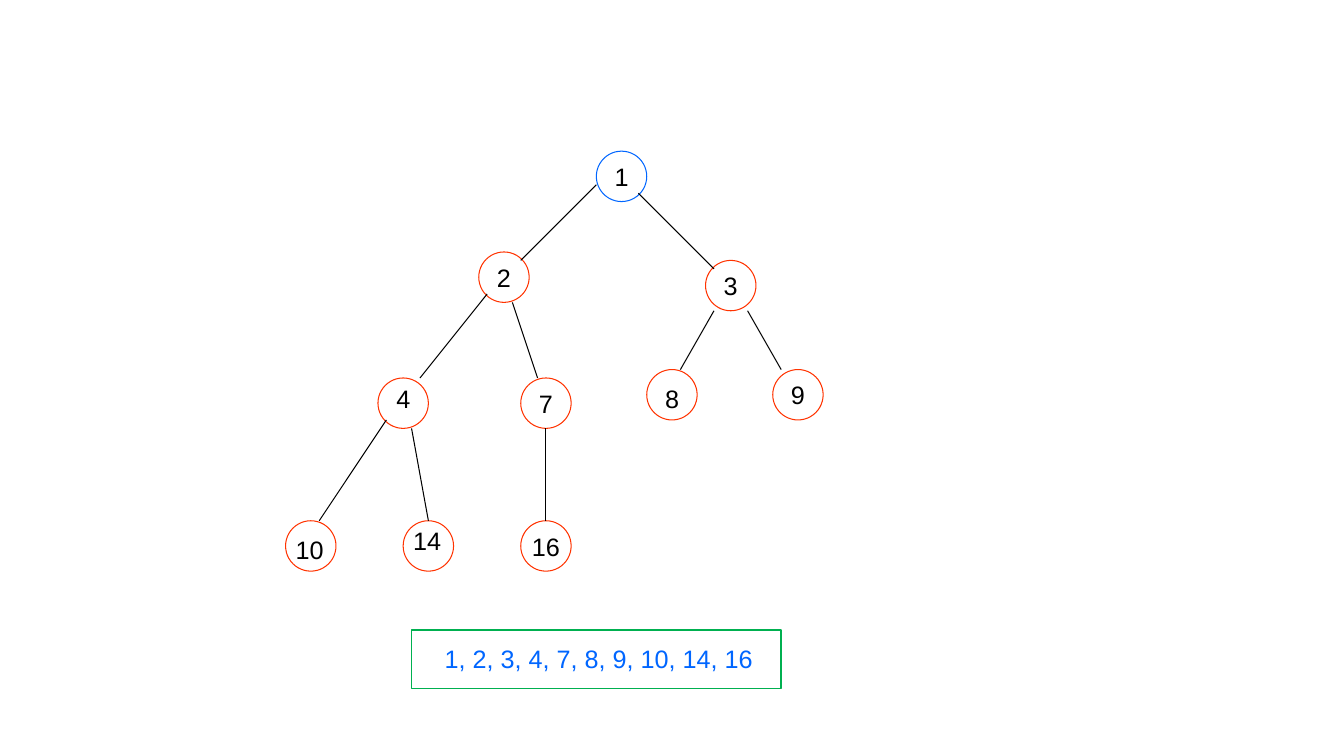
"""Build a slide showing a binary min-heap and its keys in sorted order."""
import pptx
import pptx.dml.color
import pptx.enum.shapes
import pptx.enum.text
import pptx.oxml.ns
import pptx.util
from lxml import etree

Pt = pptx.util.Pt
SHAPES = pptx.enum.shapes.MSO_SHAPE
ALIGN = pptx.enum.text.PP_ALIGN
ANCHOR = pptx.enum.text.MSO_ANCHOR
BLACK, BLUE, RED, GREEN = "000000", "0066FF", "FF3300", "00B050"
NODE_SIZE = 36


def color(value):
    return pptx.dml.color.RGBColor.from_string(value)


class HeapSlide:
    font_name = "Arial"
    font_size = 18
    line_width = 0.75

    def __init__(self, presentation):
        self.slide = presentation.slides.add_slide(presentation.slide_layouts[6])

    def set_text(self, frame, text, ink, align):
        frame.word_wrap = False
        frame.text = text
        paragraph = frame.paragraphs[0]
        paragraph.alignment = align
        font = paragraph.runs[0].font
        font.name = self.font_name
        font.size = Pt(self.font_size)
        font.color.rgb = color(ink)

    def outline(self, preset, left, top, width, height, stroke, weight=line_width):
        shape = self.slide.shapes.add_shape(
            preset, Pt(left), Pt(top), Pt(width), Pt(height))
        shape.shadow.inherit = False
        shape.fill.background()
        shape.line.color.rgb = color(stroke)
        shape.line.width = Pt(weight)
        return shape

    def node(self, left, top, key="", stroke=RED):
        circle = self.outline(SHAPES.OVAL, left, top, NODE_SIZE, NODE_SIZE, stroke)
        if key:
            circle.text_frame.vertical_anchor = ANCHOR.MIDDLE
            self.set_text(circle.text_frame, key, BLACK, ALIGN.CENTER)

    def label(self, left, top, width, text, ink=BLACK):
        box = self.slide.shapes.add_textbox(Pt(left), Pt(top), Pt(width), Pt(29))
        box.text_frame.auto_size = pptx.enum.text.MSO_AUTO_SIZE.SHAPE_TO_FIT_TEXT
        self.set_text(box.text_frame, text, ink, ALIGN.LEFT)

    def edge(self, start_x, start_y, end_x, end_y):
        link = self.slide.shapes.add_connector(
            pptx.enum.shapes.MSO_CONNECTOR.STRAIGHT,
            Pt(start_x), Pt(start_y), Pt(end_x), Pt(end_y))
        link.line.color.rgb = color(BLACK)
        link.line.width = Pt(self.line_width)
        etree.SubElement(link.element.spPr, pptx.oxml.ns.qn("a:effectLst"))


def main():
    presentation = pptx.Presentation()
    presentation.slide_width = Pt(960)
    presentation.slide_height = Pt(540)
    heap = HeapSlide(presentation)

    heap.node(426, 108, "1", BLUE)
    for left, top, key in [
        (342, 180, "2"), (504, 186, "3"),
        (372, 270, "7"), (552, 264, "9"), (372, 372, "16"),
        (270, 270, ""), (462, 264, ""), (204, 372, ""), (288, 372, ""),
    ]:
        heap.node(left, top, key)

    for left, top, width, key in [
        (276, 270, 24.5, "4"), (468, 270, 24.5, "8"),
        (204, 378, 34.5, "10"), (288, 372, 34.5, "14"),
    ]:
        heap.label(left, top, width, key)

    for ends in [
        (426, 132, 372, 186), (456, 138, 510, 192),
        (348, 210, 300, 270), (366, 216, 384, 270),
        (510, 222, 486, 264), (534, 222, 558, 264),
        (276, 300, 228, 372), (294, 306, 306, 372), (390, 306, 390, 372),
    ]:
        heap.edge(*ends)

    heap.outline(SHAPES.RECTANGLE, 294, 450, 264, 42, GREEN, 1)
    heap.label(310.5, 456, 237, "1, 2, 3, 4, 7, 8, 9, 10, 14, 16", BLUE)

    presentation.save("out.pptx")


if __name__ == "__main__":
    main()
